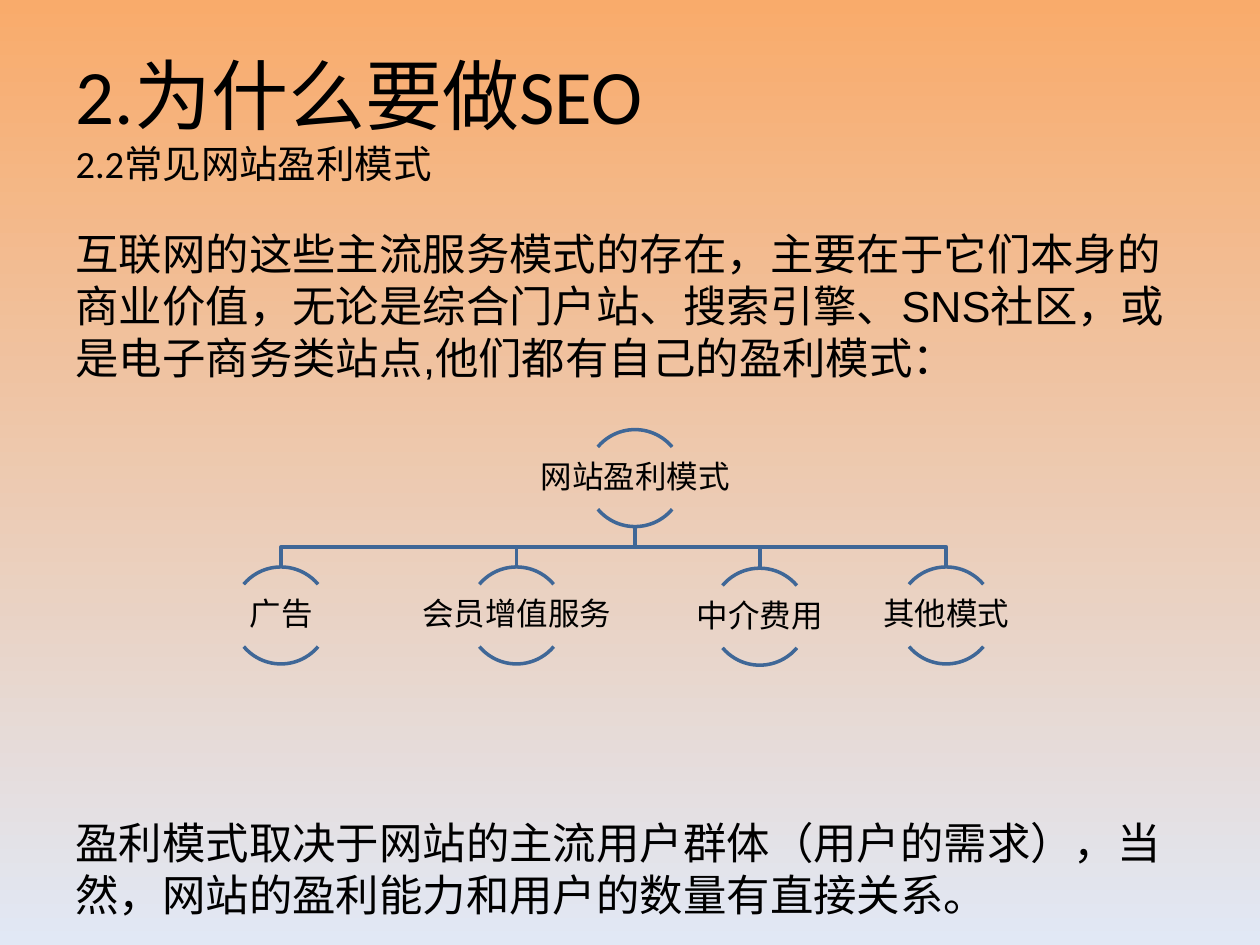
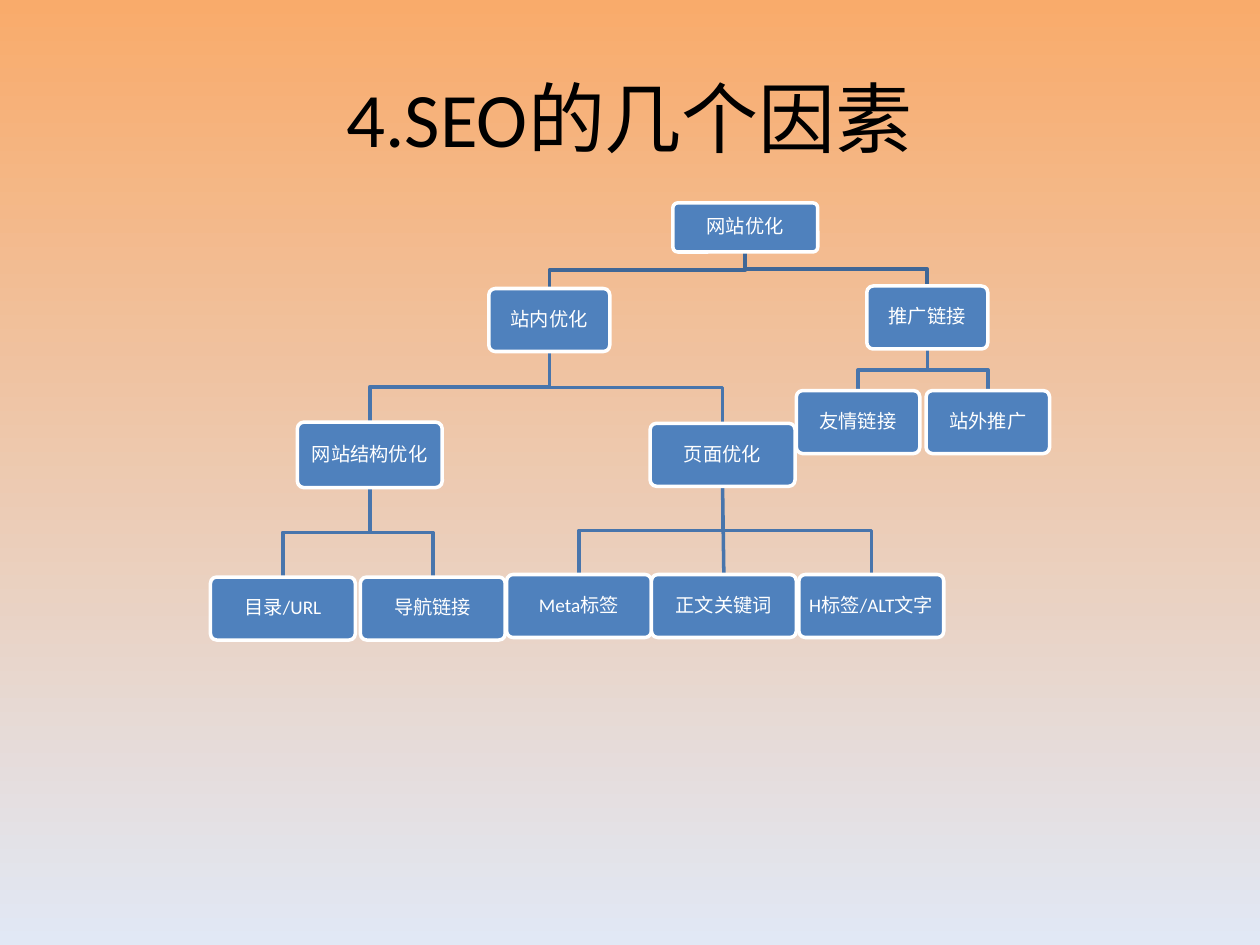
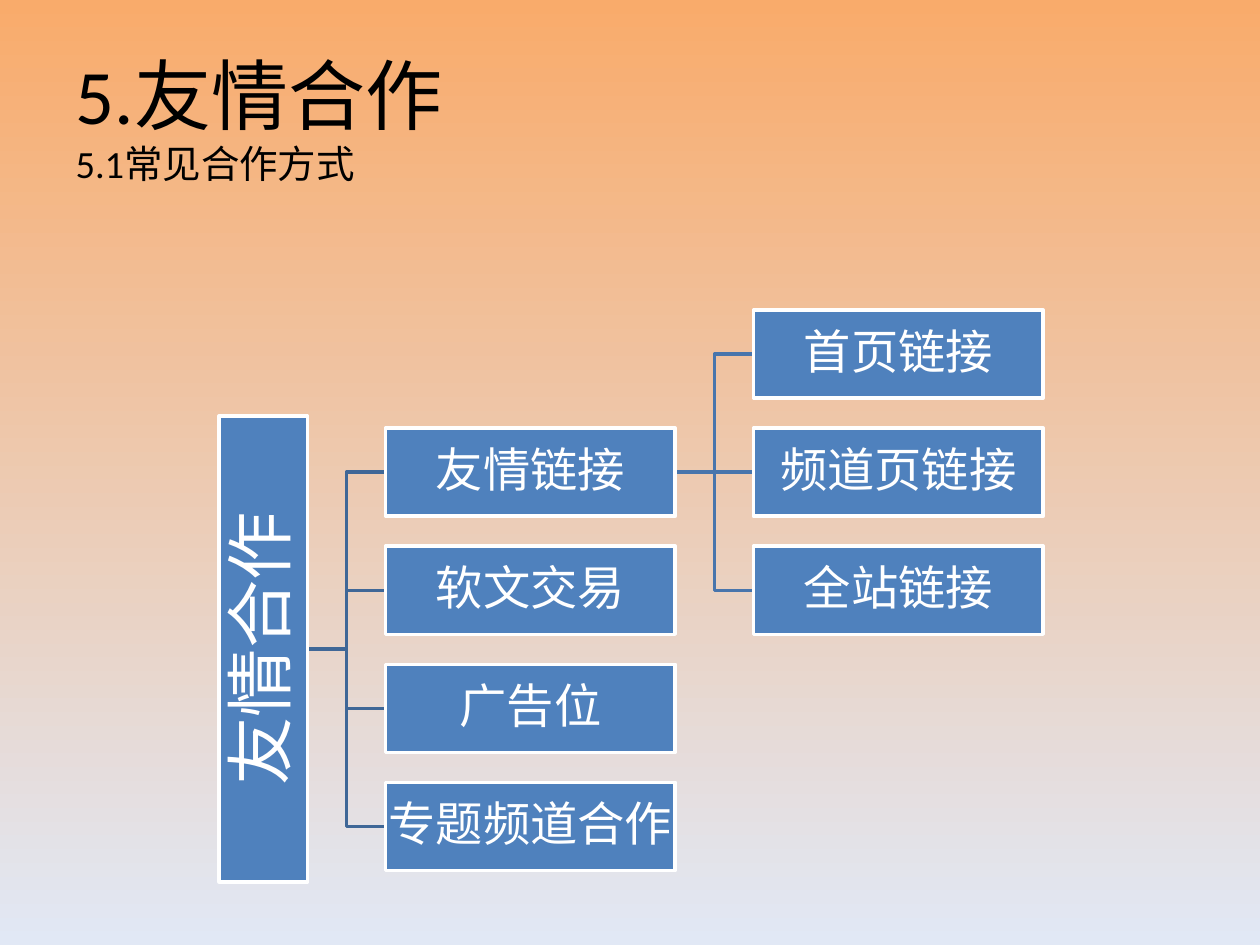
from dataclasses import dataclass, field

from lxml import etree
from pptx import Presentation
from pptx.dml.color import RGBColor
from pptx.enum.shapes import MSO_CONNECTOR as Link, MSO_SHAPE as Preset
from pptx.enum.text import MSO_ANCHOR as Anchor, MSO_AUTO_SIZE as AutoSize, PP_ALIGN as Align
from pptx.oxml.ns import qn
from pptx.util import Inches, Pt


@dataclass(frozen=True)
class Theme:
    sky_top: str = "F9AB6B"
    sky_bottom: str = "E1E8F5"
    ink: str = "000000"
    box: str = "4F81BD"
    white: str = "FFFFFF"
    first_branch: str = "3F6797"
    deep_branch: str = "4875AC"
    title_font: str = "Calibri"
    body_font: str = "Arial"
    title_size: float = 44
    subtitle_size: float = 22
    body_size: float = 24.8
    arc_label_size: float = 18
    tree_size: float = 11
    side_size: float = 27
    side_root_size: float = 39
    stroke: float = 2


@dataclass
class Node:
    """A box of a tree, in inches as it stands on the slide."""
    text: str
    left: float
    top: float
    width: float
    height: float
    children: list = field(default_factory=list)

    @property
    def middle_x(self):
        return self.left + self.width / 2

    @property
    def middle_y(self):
        return self.top + self.height / 2


def rgb(code):
    return RGBColor.from_string(code)


class Deck:
    def __init__(self, theme):
        self.theme = theme
        self.slide = None
        self.prs = Presentation()
        self.prs.slide_width, self.prs.slide_height = Inches(10), Inches(7.5)
        # Shared background, set on the master
        sky = self.prs.slide_master.background.fill
        sky.gradient()
        sky.gradient_angle = 270
        for stop, color, position in zip(sky.gradient_stops,
                                         (theme.sky_top, theme.sky_bottom), (0, 1)):
            stop.color.rgb = rgb(color)
            stop.position = position

    def new_slide(self, heading, subheading=None):
        t = self.theme
        self.slide = self.prs.slides.add_slide(self.prs.slide_layouts[5])
        title = self.slide.shapes.title
        title.left, title.top, title.width, title.height = map(Inches, (0.5, 0.3, 9, 1.25))
        frame = title.text_frame
        frame.auto_size = AutoSize.NONE
        frame.vertical_anchor = Anchor.MIDDLE
        line = frame.paragraphs[0]
        line.alignment = Align.LEFT if subheading else Align.CENTER
        self.run(line, heading, t.title_size, t.ink)
        if subheading:
            line.add_line_break()
            self.run(line, subheading, t.subtitle_size, t.ink)

    def run(self, paragraph, text, size, color, font=None):
        run = paragraph.add_run()
        run.text = text
        run.font.name = font or self.theme.title_font
        run.font.size = Pt(size)
        run.font.color.rgb = rgb(color)

    def label(self, shape, text, size, color, margin):
        frame = shape.text_frame
        frame.word_wrap = True
        frame.vertical_anchor = Anchor.MIDDLE
        frame.margin_left = frame.margin_right = Inches(margin)
        frame.margin_top = frame.margin_bottom = Inches(margin)
        line = frame.paragraphs[0]
        line.alignment = Align.CENTER
        line.line_spacing = 0.9
        self.run(line, text, size, color)

    def body(self, top, height, text):
        box = self.slide.shapes.add_textbox(Inches(0.5), Inches(top), Inches(9), Inches(height))
        box.text_frame.word_wrap = True
        self.run(box.text_frame.paragraphs[0], text,
                 self.theme.body_size, self.theme.ink, self.theme.body_font)

    def outline(self, shape, color):
        shape.line.color.rgb = rgb(color)
        shape.line.width = Pt(self.theme.stroke)

    def branch(self, start, end, color, sideways=False):
        """Elbow from start to end, or a straight line when they are level."""
        (x1, y1), (x2, y2) = start, end
        if abs(y1 - y2 if sideways else x1 - x2) < 0.01:
            line = self.slide.shapes.add_connector(Link.STRAIGHT, *map(Inches, (x1, y1, x2, y2)))
            etree.SubElement(line._element.spPr, qn("a:effectLst"))
            self.outline(line, color)
            return
        half_x, half_y = (x1 + x2) / 2, (y1 + y2) / 2
        bends = [(half_x, y1), (half_x, y2)] if sideways else [(x1, half_y), (x2, half_y)]
        builder = self.slide.shapes.build_freeform(Inches(x1), Inches(y1))
        builder.add_line_segments([(Inches(x), Inches(y)) for x, y in bends + [end]], close=False)
        elbow = builder.convert_to_shape()
        elbow.shadow.inherit = False
        elbow.fill.background()
        self.outline(elbow, color)

    def arc_node(self, text, middle, top):
        """Label between an upper and a lower arc of one circle."""
        t = self.theme
        for angles in ((132, 192), (24, 84)):
            arc = self.slide.shapes.add_shape(
                Preset.ARC, *map(Inches, (middle - ARC / 2, top, ARC, ARC)))
            arc.adjustments[0], arc.adjustments[1] = angles
            arc.shadow.inherit = False
            arc.fill.background()
            self.outline(arc, t.first_branch)
        box = self.slide.shapes.add_textbox(
            *map(Inches, (middle - 0.775, top + 0.14, 1.55, 0.49)))
        self.label(box, text, t.arc_label_size, t.ink, 0.01)

    def box(self, node, preset, size, margin, upright=False):
        """Filled box; an upright one reads from bottom to top."""
        width, height = (node.height, node.width) if upright else (node.width, node.height)
        shape = self.slide.shapes.add_shape(preset, *map(Inches, (
            node.middle_x - width / 2, node.middle_y - height / 2, width, height)))
        shape.rotation = 270 if upright else 0
        shape.shadow.inherit = False
        shape.fill.solid()
        shape.fill.fore_color.rgb = rgb(self.theme.box)
        self.outline(shape, self.theme.white)
        if preset == Preset.ROUNDED_RECTANGLE:
            shape.adjustments[0] = 0.1
        self.label(shape, node.text, size, self.theme.white, margin)

    def branches(self, node, sideways=False, depth=0):
        color = self.theme.deep_branch if depth else self.theme.first_branch
        for child in node.children:
            if sideways:
                start, end = (node.left + node.width, node.middle_y), (child.left, child.middle_y)
            else:
                start, end = (node.middle_x, node.top + node.height), (child.middle_x, child.top)
            self.branch(start, end, color, sideways)
            self.branches(child, sideways, depth + 1)

    def boxes(self, nodes, preset, size, margin):
        for node in nodes:
            self.box(node, preset, size, margin)
            self.boxes(node.children, preset, size, margin)


ARC = 0.77


def profit_models(deck):
    deck.new_slide("2.为什么要做SEO", "2.2常见网站盈利模式")
    deck.body(1.75, 1.4, "互联网的这些主流服务模式的存在，主要在于它们本身的商业价值，"
                         "无论是综合门户站、搜索引擎、SNS社区，或是电子商务类站点,"
                         "他们都有自己的盈利模式：")
    deck.body(6.43, 0.95, "盈利模式取决于网站的主流用户群体（用户的需求），当然，"
                          "网站的盈利能力和用户的数量有直接关系。")
    # Root and its four models
    root_middle, root_top = 5.04, 3.41
    models = [("广告", 2.23, 4.5), ("会员增值服务", 4.1, 4.5),
              ("中介费用", 6.03, 4.51), ("其他模式", 7.51, 4.5)]
    for _, middle, top in models:
        deck.branch((root_middle, root_top + ARC), (middle, top), deck.theme.first_branch)
    for model in [("网站盈利模式", root_middle, root_top)] + models:
        deck.arc_node(*model)


def seo_factors(deck):
    deck.new_slide("4.SEO的几个因素")
    wide = 1.15
    # Branch of on-site work
    structure = Node("网站结构优化", 2.36, 3.35, wide, 0.52, [
        Node("目录/URL", 1.67, 4.58, wide, 0.5),
        Node("导航链接", 2.86, 4.58, wide, 0.5)])
    pages = Node("页面优化", 5.16, 3.36, wide, 0.5, [
        Node("Meta标签", 4.02, 4.56, wide, 0.5),
        Node("正文关键词", 5.17, 4.56, wide, 0.5),
        Node("H标签/ALT文字", 6.34, 4.56, wide, 0.5)])
    on_site = Node("站内优化", 3.88, 2.29, 0.96, 0.5, [structure, pages])
    # Branch of links
    links = Node("推广链接", 6.88, 2.27, 0.96, 0.5, [
        Node("友情链接", 6.32, 3.1, 0.98, 0.5),
        Node("站外推广", 7.35, 3.1, 0.98, 0.5)])
    root = Node("网站优化", 5.34, 1.61, wide, 0.39, [on_site, links])
    deck.branches(root)
    deck.boxes([root], Preset.ROUNDED_RECTANGLE, deck.theme.tree_size, 0.05)


def partnerships(deck):
    deck.new_slide("5.友情合作", "5.1常见合作方式")
    first_row, last_row = 2.46, 6.21
    pitch = (last_row - first_row) / 4

    def column(left, start, texts):
        return [Node(text, left, first_row + row * pitch, 2.3, 0.7)
                for row, text in enumerate(texts, start)]

    # Ways to cooperate, and the kinds of the first one
    ways = column(3.06, 1, ["友情链接", "软文交易", "广告位", "专题频道合作"])
    ways[0].children = column(5.98, 0, ["首页链接", "频道页链接", "全站链接"])
    root = Node("友情合作", 1.74, 3.3, 0.7, 3.7, ways)
    deck.branches(root, sideways=True)
    deck.box(root, Preset.RECTANGLE, deck.theme.side_root_size, 0.03, upright=True)
    deck.boxes(ways, Preset.RECTANGLE, deck.theme.side_size, 0.02)


def main():
    deck = Deck(Theme())
    profit_models(deck)
    seo_factors(deck)
    partnerships(deck)
    deck.prs.save("out.pptx")


if __name__ == "__main__":
    main()
